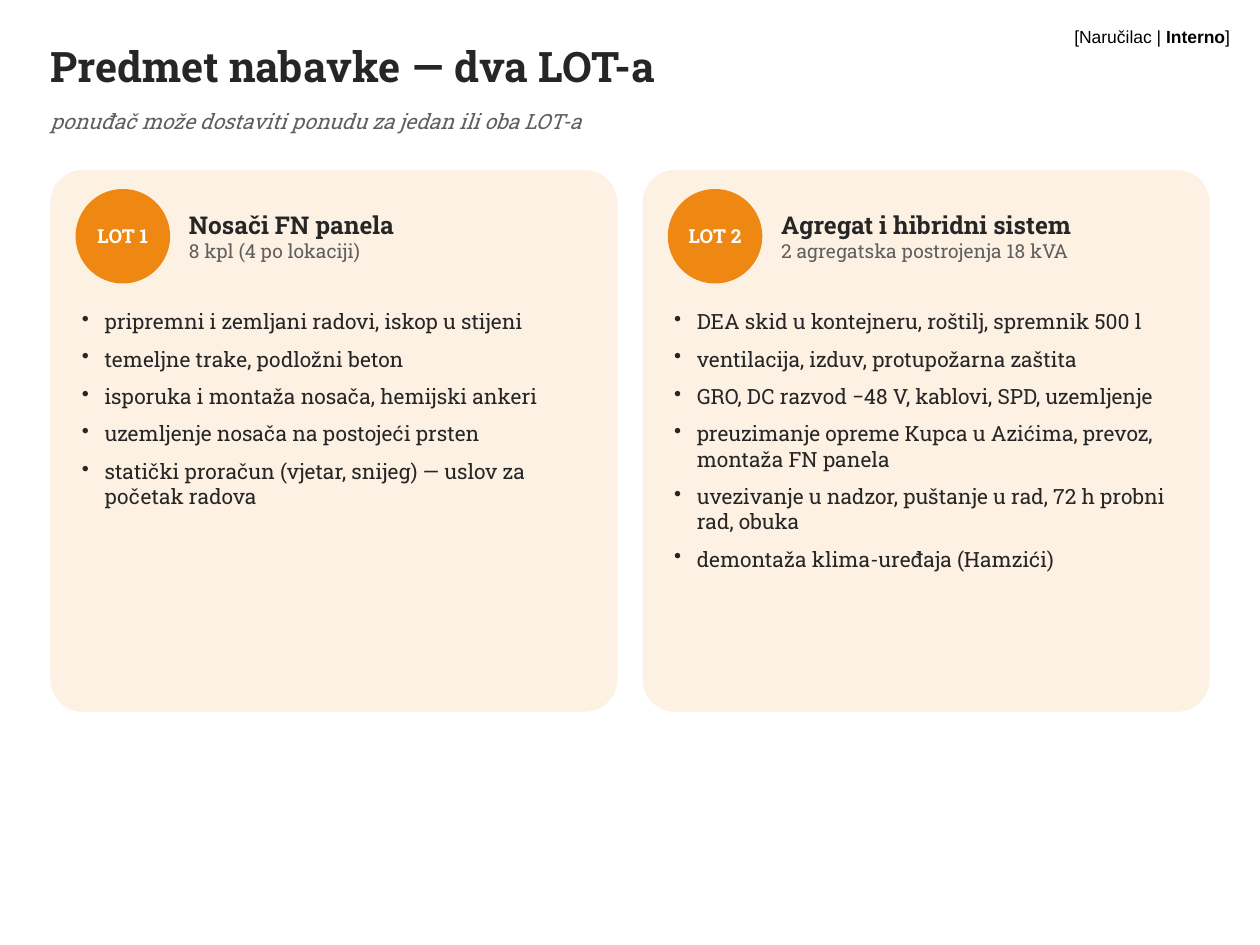
from lxml.etree import SubElement
from pptx import Presentation
from pptx.dml.color import RGBColor
from pptx.enum.shapes import MSO_SHAPE
from pptx.enum.text import MSO_ANCHOR, PP_ALIGN
from pptx.oxml.ns import qn
from pptx.util import Inches, Pt

TITLE = "Predmet nabavke — dva LOT-a"
NOTE = "ponuđač može dostaviti ponudu za jedan ili oba LOT-a"
LABEL = [("[Naručilac\u00a0|\u00a0", "label"), ("Interno", "mark"), ("]", "label")]
LOTS = [
    {
        "tag": "LOT 1",
        "head": "Nosači FN panela",
        "sub": "8 kpl (4 po lokaciji)",
        "items": [
            "pripremni i zemljani radovi, iskop u stijeni",
            "temeljne trake, podložni beton",
            "isporuka i montaža nosača, hemijski ankeri",
            "uzemljenje nosača na postojeći prsten",
            "statički proračun (vjetar, snijeg) — uslov za početak radova",
        ],
    },
    {
        "tag": "LOT 2",
        "head": "Agregat i hibridni sistem",
        "sub": "2 agregatska postrojenja 18 kVA",
        "items": [
            "DEA skid u kontejneru, roštilj, spremnik 500 l",
            "ventilacija, izduv, protupožarna zaštita",
            "GRO, DC razvod −48 V, kablovi, SPD, uzemljenje",
            "preuzimanje opreme Kupca u Azićima, prevoz, montaža FN panela",
            "uvezivanje u nadzor, puštanje u rad, 72 h probni rad, obuka",
            "demontaža klima-uređaja (Hamzići)",
        ],
    },
]

SLAB, SANS = "Roboto Slab", "Arial"
THEME = {
    "card": "FDF1E4",
    "badge": "EF8812",
    # font, size, colour, bold, italic
    "title": (SLAB, 24, "262626", True, False),
    "note": (SLAB, 12, "5F5F5F", False, True),
    "label": (SANS, 10, "000000", False, False),
    "mark": (SANS, 10, "000000", True, False),
    "tag": (SLAB, 11, "FFFFFF", True, False),
    "head": (SLAB, 14, "262626", True, False),
    "sub": (SLAB, 11, "5F5F5F", False, False),
    "item": (SLAB, 12, "262626", False, False),
}
EDGE, GAP, WIDE = 0.4, 0.2, 4.5


def write(shape, paras, align=PP_ALIGN.LEFT, anchor=MSO_ANCHOR.TOP,
          after=0, bullet=False, pad=(0, 0)):
    """Fill a shape with paragraphs, each a list of (text, style) runs."""
    frame = shape.text_frame
    frame.word_wrap = True
    frame.vertical_anchor = anchor
    frame.margin_left = frame.margin_right = Inches(pad[0])
    frame.margin_top = frame.margin_bottom = Inches(pad[1])
    for i, runs in enumerate(paras):
        para = frame.add_paragraph() if i else frame.paragraphs[0]
        para.alignment = align
        para.space_after = Pt(after)
        if bullet:
            props = para._p.get_or_add_pPr()
            props.set("marL", str(Inches(0.18)))
            props.set("indent", str(-Inches(0.18)))
            SubElement(props, qn("a:buChar")).set("char", "•")
        for text, style in runs:
            run = para.add_run()
            run.text = text
            font = run.font
            font.name, size, tint, font.bold, font.italic = THEME[style]
            font.size = Pt(size)
            font.color.rgb = RGBColor.from_string(tint)


def add_box(slide, area, paras, **form):
    write(slide.shapes.add_textbox(*map(Inches, area)), paras, **form)


def add_form(slide, kind, area, fill):
    shape = slide.shapes.add_shape(kind, *map(Inches, area))
    shape.shadow.inherit = False
    shape.fill.solid()
    shape.fill.fore_color.rgb = RGBColor.from_string(THEME[fill])
    shape.line.fill.background()
    return shape


def add_lot(slide, left, lot):
    card = add_form(slide, MSO_SHAPE.ROUNDED_RECTANGLE, (left, 1.35, WIDE, 4.3), "card")
    card.adjustments[0] = 0.06
    badge = add_form(slide, MSO_SHAPE.OVAL, (left + 0.2, 1.5, 0.75, 0.75), "badge")
    write(badge, [[(lot["tag"], "tag")]], align=PP_ALIGN.CENTER, anchor=MSO_ANCHOR.MIDDLE)
    add_box(slide, (left + 1.1, 1.5, 3.3, 0.75),
            [[(lot[key], key)] for key in ("head", "sub")], anchor=MSO_ANCHOR.MIDDLE)
    add_box(slide, (left + 0.25, 2.45, 4.05, 3.6),
            [[(item, "item")] for item in lot["items"]], after=7, bullet=True)


def main():
    deck = Presentation()
    deck.slide_width, deck.slide_height = Inches(10), Inches(7.5)
    slide = deck.slides.add_slide(deck.slide_layouts[6])
    add_box(slide, (8.18, 0.16, 1.68, 0.3), [LABEL], align=PP_ALIGN.RIGHT, pad=(0.1, 0.05))
    add_box(slide, (EDGE, 0.32, 7.7, 0.6), [[(TITLE, "title")]], after=4)
    add_box(slide, (EDGE, 0.86, 8.9, 0.35), [[(NOTE, "note")]], after=4)
    for i, lot in enumerate(LOTS):
        add_lot(slide, EDGE + i * (WIDE + GAP), lot)
    deck.save("out.pptx")


if __name__ == "__main__":
    main()
